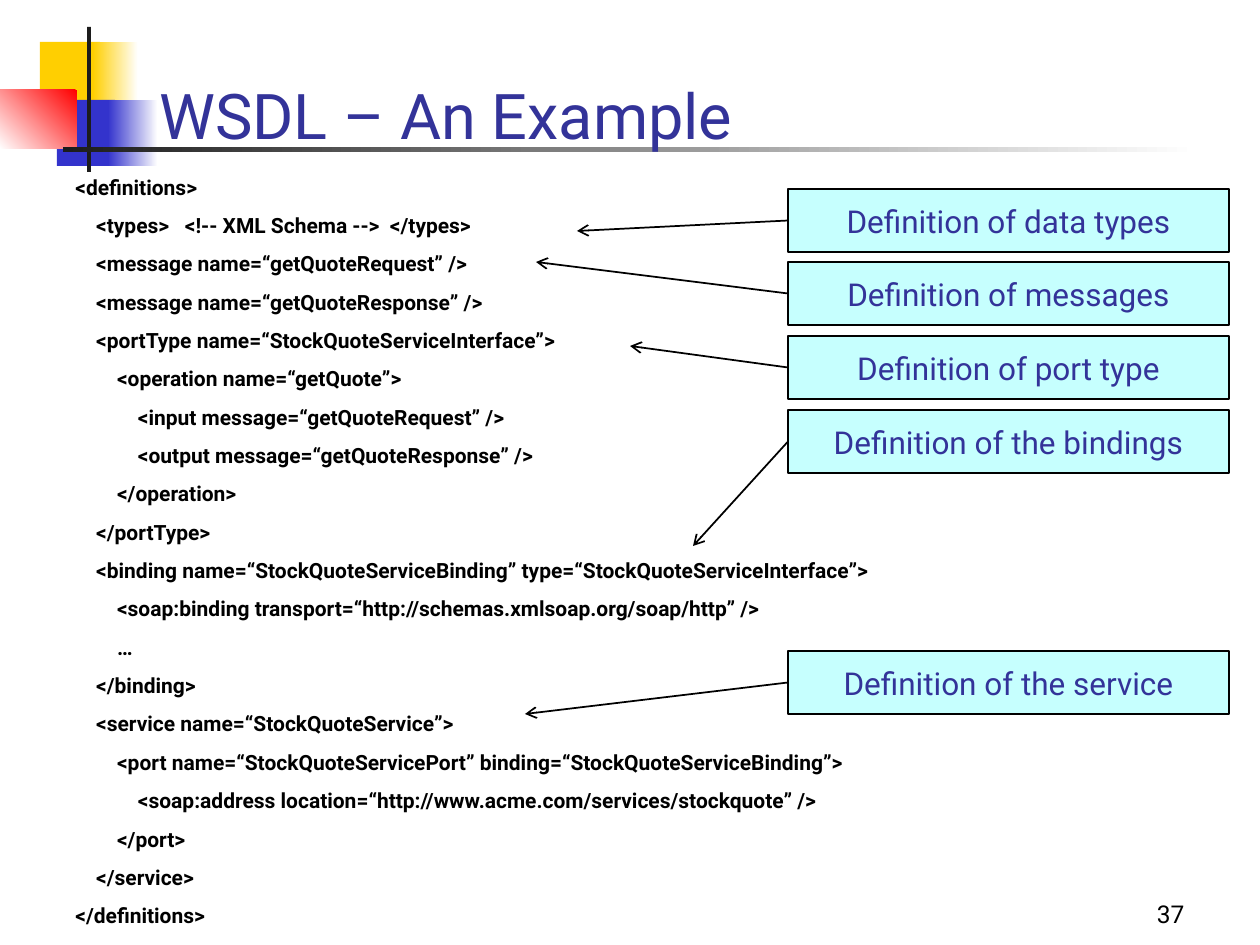
from dataclasses import dataclass
from lxml.etree import SubElement as Sub
from pptx import Presentation
from pptx.dml.color import RGBColor as RGB
from pptx.enum.shapes import MSO_CONNECTOR as Link, MSO_SHAPE as Form
from pptx.enum.text import MSO_ANCHOR as Anchor, PP_ALIGN as Align
from pptx.oxml.ns import qn
from pptx.util import Pt

# Content
TITLE = "WSDL – An Example"
NUMBER = "37"
CODE = [  # indent level, line
    (0, "<definitions>"),
    (1, "<types>   <!-- XML Schema -->  </types>"),
    (1, "<message name=“getQuoteRequest” />"),
    (1, "<message name=“getQuoteResponse” />"),
    (1, "<portType name=“StockQuoteServiceInterface”>"),
    (2, "<operation name=“getQuote”>"),
    (3, "<input message=“getQuoteRequest” />"),
    (3, "<output message=“getQuoteResponse” />"),
    (2, "</operation>"),
    (1, "</portType>"),
    (1, "<binding name=“StockQuoteServiceBinding” type=“StockQuoteServiceInterface”>"),
    (2, "<soap:binding transport=“http://schemas.xmlsoap.org/soap/http” />"),
    (2, "…"),
    (1, "</binding>"),
    (1, "<service name=“StockQuoteService”>"),
    (2, "<port name=“StockQuoteServicePort” binding=“StockQuoteServiceBinding”>"),
    (3, "<soap:address location=“http://www.acme.com/services/stockquote” />"),
    (2, "</port>"),
    (1, "</service>"),
    (0, "</definitions>"),
]
LABELS = [  # text, top, arrow tip
    ("Definition of data types", 189, (577, 231)),
    ("Definition of messages", 262, (536, 262)),
    ("Definition of port type", 336, (630, 346)),
    ("Definition of the bindings", 410, (693, 546)),
    ("Definition of the service", 651, (525, 714)),
]


@dataclass(frozen=True)
class Theme:
    font: str = "Roboto"
    ink: str = "000000"
    navy: str = "333399"
    aqua: str = "C6FFFE"
    gold: str = "FFCF01"
    blue: str = "3333CC"
    red: str = "FF0000"
    dark: str = "1C1C1C"
    white: str = "FFFFFF"
    head: int = 36
    note: int = 18
    page: int = 14
    code: int = 12


T = Theme()
DECOR = [  # box, colours, gradient angle (counterclockwise)
    ((40, 42, 60, 66), [T.gold], 0),
    ((93, 42, 45, 66), [T.white, T.gold], 180),
    ((57, 100, 58, 66), [T.blue], 0),
    ((108, 100, 50, 66), [T.white, T.blue], 180),
    ((0, 90, 77, 59), [T.red, T.white], 225),
    ((87, 27, 4, 145), [T.dark], 0),
    ((63, 147, 1134, 5), [T.white, T.dark], 180),
]


def px(n):
    return round(n * 914400 / 126)


deck = Presentation()
deck.slide_width, deck.slide_height = px(1260), px(945)
slide = deck.slides.add_slide(deck.slide_layouts[6])
shapes = slide.shapes


def block(box, tones, angle=0):
    shape = shapes.add_shape(Form.RECTANGLE, *map(px, box))
    shape.shadow.inherit = False
    shape.line.fill.background()
    fill = shape.fill
    if len(tones) == 1:
        fill.solid()
        fill.fore_color.rgb = RGB.from_string(tones[0])
    else:
        fill.gradient()
        fill.gradient_angle = angle
        for stop, tone, place in zip(fill.gradient_stops, tones, (0, 1)):
            stop.color.rgb = RGB.from_string(tone)
            stop.position = place
    return shape


def write(shape, lines, size, tone, anchor, align=Align.LEFT, bold=False, gap=0, wrap=True):
    frame = shape.text_frame
    frame.word_wrap = wrap
    frame.vertical_anchor = anchor
    for i, line in enumerate(lines):
        para = frame.add_paragraph() if i else frame.paragraphs[0]
        para.alignment = align
        para.space_before = Pt(gap if i else 0)
        run = para.add_run()
        run.text = line
        font = run.font
        font.name, font.size, font.bold = T.font, Pt(size), bold
        font.color.rgb = RGB.from_string(tone)


def text(box, *args, **more):
    write(shapes.add_textbox(*map(px, box)), *args, **more)


def arrow(shape, tip):
    line = shapes.add_connector(Link.STRAIGHT, 0, 0, *map(px, tip))
    line.begin_connect(shape, 1)
    line.line.color.rgb = RGB.from_string(T.ink)
    line.line.width = Pt(1)
    Sub(line.line._get_or_add_ln(), qn("a:tailEnd"), type="arrow")
    Sub(line._element.spPr, qn("a:effectLst"))


# Corner decoration and title rule
for part in DECOR:
    block(*part)

# Code listing and title
lines = ["    " * depth + line for depth, line in CODE]
text((63, 168, 1061, 767), lines, T.code, T.ink, Anchor.TOP, bold=True, gap=7.5)
text((147, 32, 998, 126), [TITLE], T.head, T.navy, Anchor.BOTTOM)

# Labels, each with an arrow to its line
for label, top, tip in LABELS:
    shape = block((788, top, 441, 63), [T.aqua])
    shape.line.color.rgb = RGB.from_string(T.ink)
    shape.line.width = Pt(1)
    write(shape, [label], T.note, T.navy, Anchor.MIDDLE, Align.CENTER, wrap=False)
    arrow(shape, tip)

# Slide number
text((935, 872, 262, 63), [NUMBER], T.page, T.ink, Anchor.BOTTOM, Align.RIGHT)

deck.save("out.pptx")
